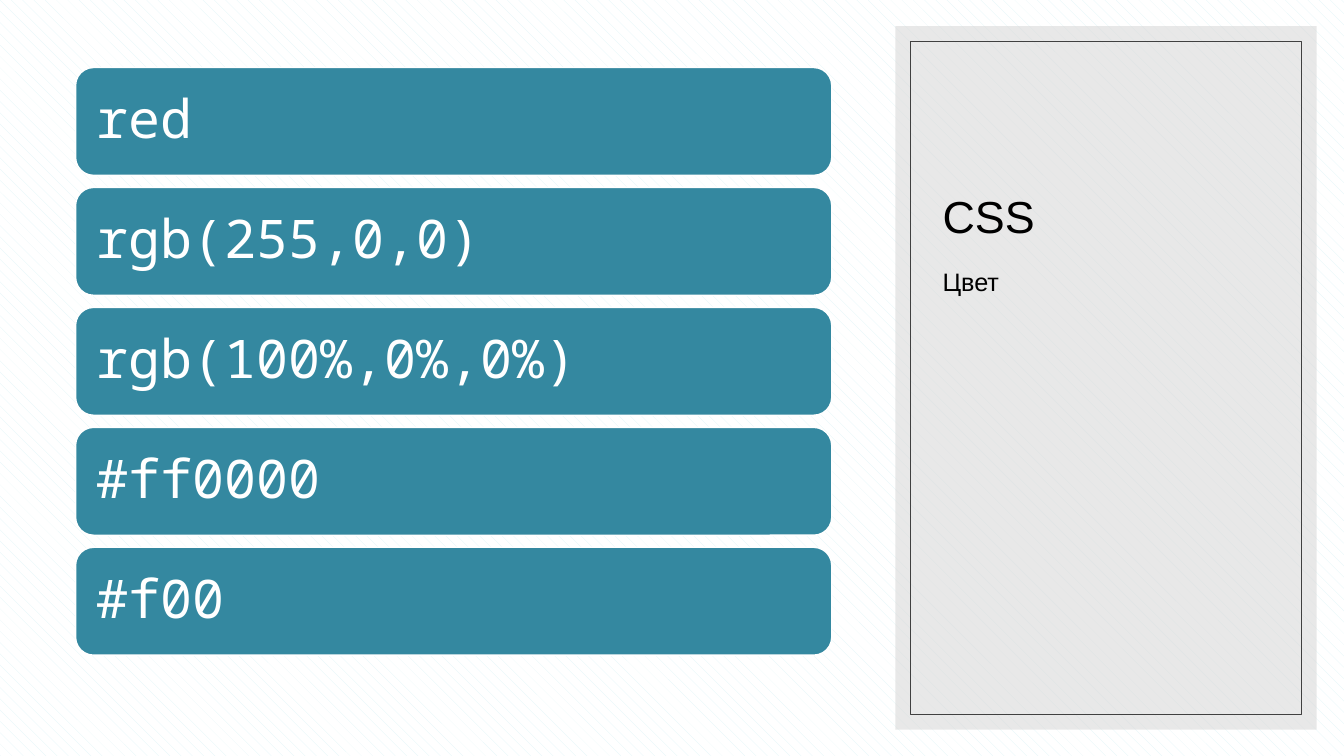
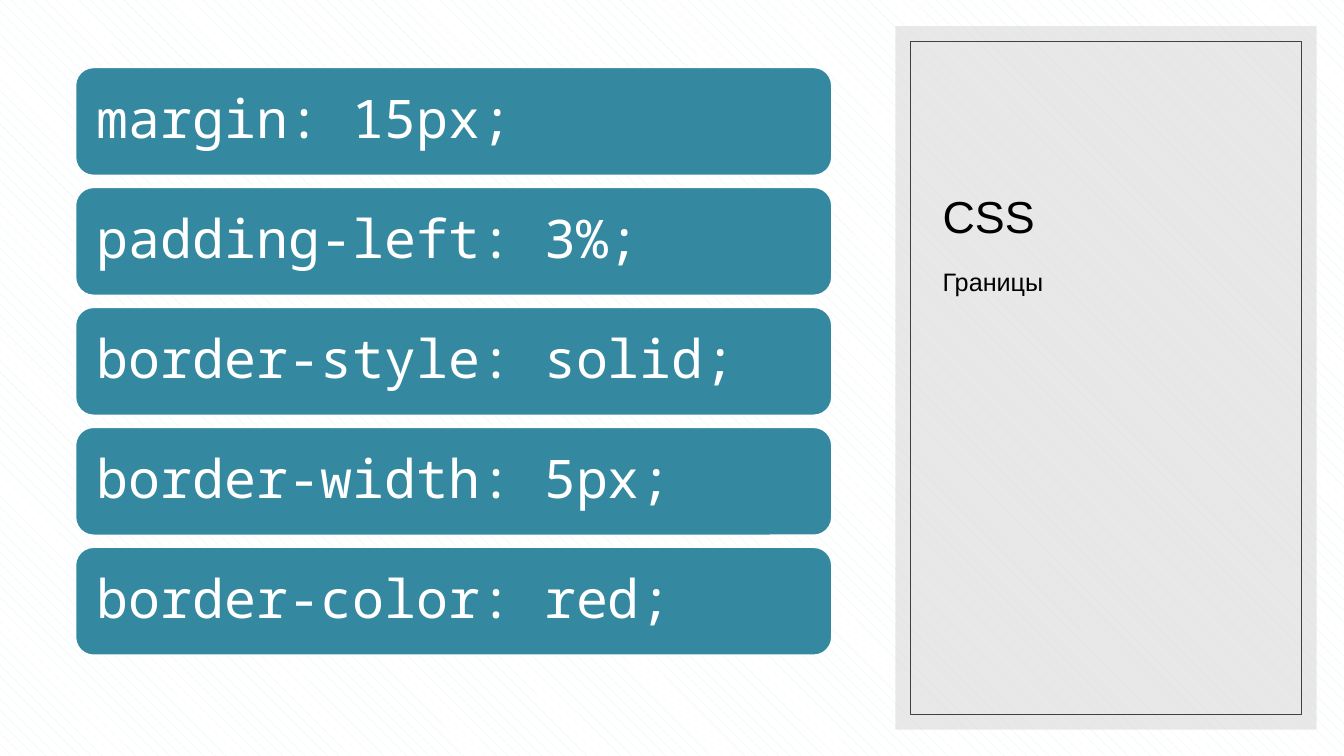
from lxml.etree import SubElement
from pptx import Presentation
from pptx.dml.color import RGBColor
from pptx.enum.dml import MSO_PATTERN
from pptx.enum.shapes import MSO_SHAPE
from pptx.enum.text import MSO_ANCHOR, PP_ALIGN
from pptx.oxml.ns import qn
from pptx.util import Inches, Pt

# Shared colours and fonts
WHITE = RGBColor(0xFF, 0xFF, 0xFF)
BLACK = RGBColor(0x00, 0x00, 0x00)
STRIPE = RGBColor(0xDE, 0xF4, 0xF7)
PANEL_GREY = RGBColor(0xD9, 0xD9, 0xD9)
FRAME_GREY = RGBColor(0x40, 0x40, 0x40)
TEAL = RGBColor(0x34, 0x88, 0xA0)
HEADING_FONT = "Arial"
CODE_FONT = "Noto Sans Mono"

# Code column: equal rows with a fixed pitch
CODE_LEFT, CODE_TOP, CODE_WIDTH = 0.75, 0.67, 7.5
ROW_HEIGHT, ROW_PITCH = 1.07, 1.19

# Side panel: the frame is inset evenly from the panel
PANEL = (8.88, 0.26, 4.18, 6.98)
FRAME_INSET = 0.15
HEADING_LEFT, HEADING_WIDTH = 9.25, 3.46

TOPICS = [
    ("CSS", "Цвет",
     ["red", "rgb(255,0,0)", "rgb(100%,0%,0%)", "#ff0000", "#f00"]),
    ("CSS", "Границы",
     ["margin: 15px;", "padding-left: 3%;", "border-style: solid;",
      "border-width: 5px;", "border-color: red;"]),
]


def add_box(slide, preset, box, fill=None, line=None, line_width=1):
    shape = slide.shapes.add_shape(preset, *map(Inches, box))
    shape.shadow.inherit = False
    if fill is None:
        shape.fill.background()
    else:
        shape.fill.solid()
        shape.fill.fore_color.rgb = fill
    if line is None:
        shape.line.fill.background()
    else:
        shape.line.color.rgb = line
        shape.line.width = Pt(line_width)
    return shape


def set_text(shape, text, font, size, colour, anchor):
    frame = shape.text_frame
    frame.word_wrap = True
    frame.vertical_anchor = anchor
    paragraph = frame.paragraphs[0]
    paragraph.text = text
    paragraph.alignment = PP_ALIGN.LEFT
    paragraph.font.name = font
    paragraph.font.size = Pt(size)
    paragraph.font.color.rgb = colour
    return paragraph


def set_opacity(shape, percent):
    colour = shape.fill._xPr.find(qn("a:solidFill"))[0]
    SubElement(colour, qn("a:alpha"), val=str(percent * 1000))


def add_heading(slide, text, top, height, size, anchor):
    box = slide.shapes.add_textbox(
        *map(Inches, (HEADING_LEFT, top, HEADING_WIDTH, height)))
    return set_text(box, text, HEADING_FONT, size, BLACK, anchor)


def add_background(slide):
    fill = slide.background.fill
    fill.patterned()
    fill.pattern = MSO_PATTERN.SHINGLE
    fill.fore_color.rgb = STRIPE
    fill.back_color.rgb = WHITE


def add_side_panel(slide, title, subtitle):
    panel = add_box(slide, MSO_SHAPE.RECTANGLE, PANEL, fill=PANEL_GREY)
    set_opacity(panel, 60)
    left, top, width, height = PANEL
    frame = (left + FRAME_INSET, top + FRAME_INSET,
             width - 2 * FRAME_INSET, height - 2 * FRAME_INSET)
    add_box(slide, MSO_SHAPE.RECTANGLE, frame, line=FRAME_GREY, line_width=0.5)

    add_heading(slide, title, 0.66, 1.8, 32, MSO_ANCHOR.BOTTOM)
    topic = add_heading(slide, subtitle, 2.56, 3.94, 18, MSO_ANCHOR.TOP)
    topic.line_spacing = 1.1
    topic.space_before = Pt(8)


def add_code_rows(slide, snippets):
    for row, snippet in enumerate(snippets):
        box = (CODE_LEFT, CODE_TOP + row * ROW_PITCH, CODE_WIDTH, ROW_HEIGHT)
        bar = add_box(slide, MSO_SHAPE.ROUNDED_RECTANGLE, box, TEAL, WHITE)
        code = set_text(bar, snippet, CODE_FONT, 38, WHITE, MSO_ANCHOR.MIDDLE)
        code.line_spacing = 0.9
        # The preset's text area already starts 0.05 inside the bar
        bar.text_frame.margin_left = Inches(0.16)


def main():
    deck = Presentation()
    deck.slide_width, deck.slide_height = Inches(13.33), Inches(7.5)
    blank = deck.slide_layouts[6]
    for title, subtitle, snippets in TOPICS:
        slide = deck.slides.add_slide(blank)
        add_background(slide)
        add_side_panel(slide, title, subtitle)
        add_code_rows(slide, snippets)
    deck.save("out.pptx")


if __name__ == "__main__":
    main()
